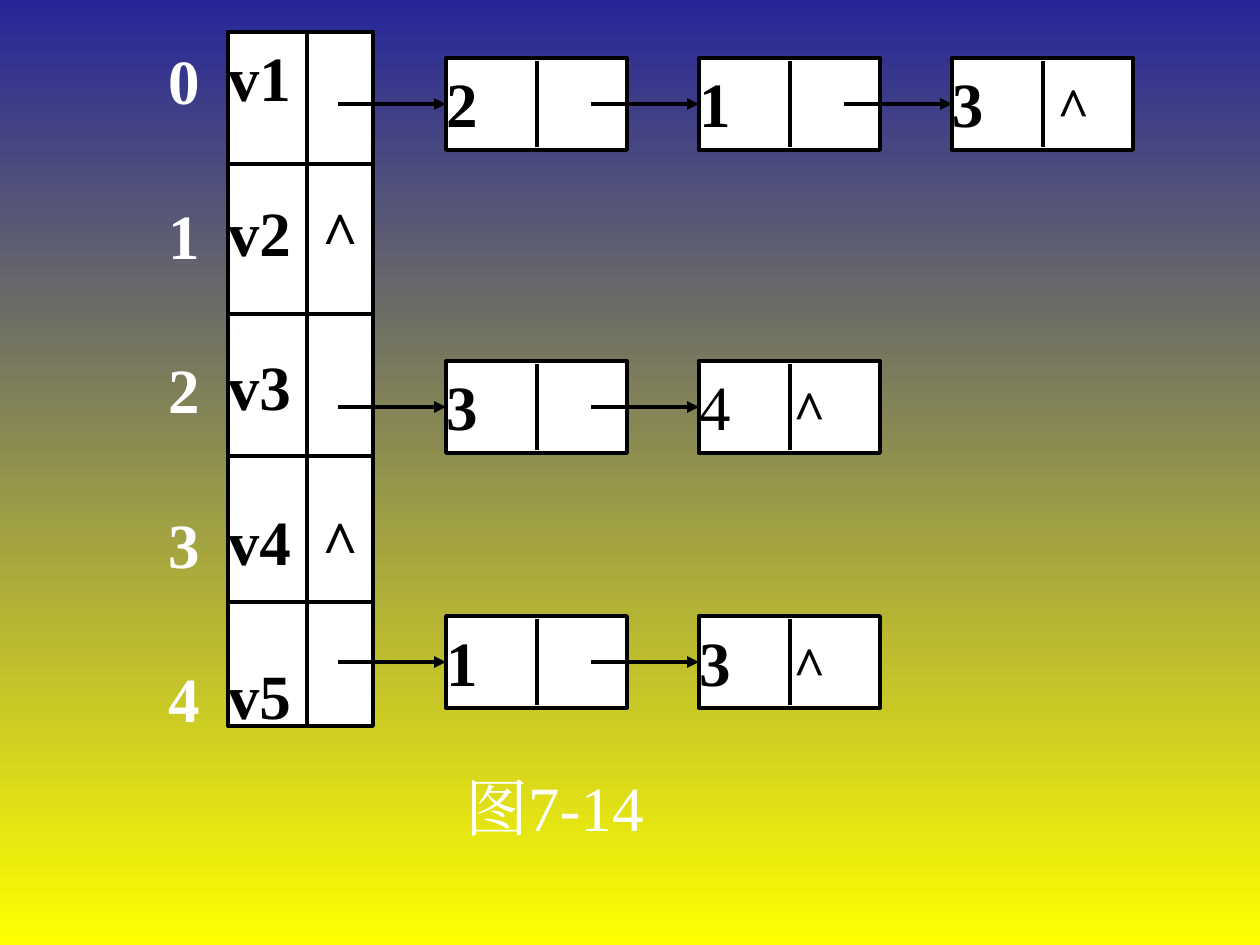
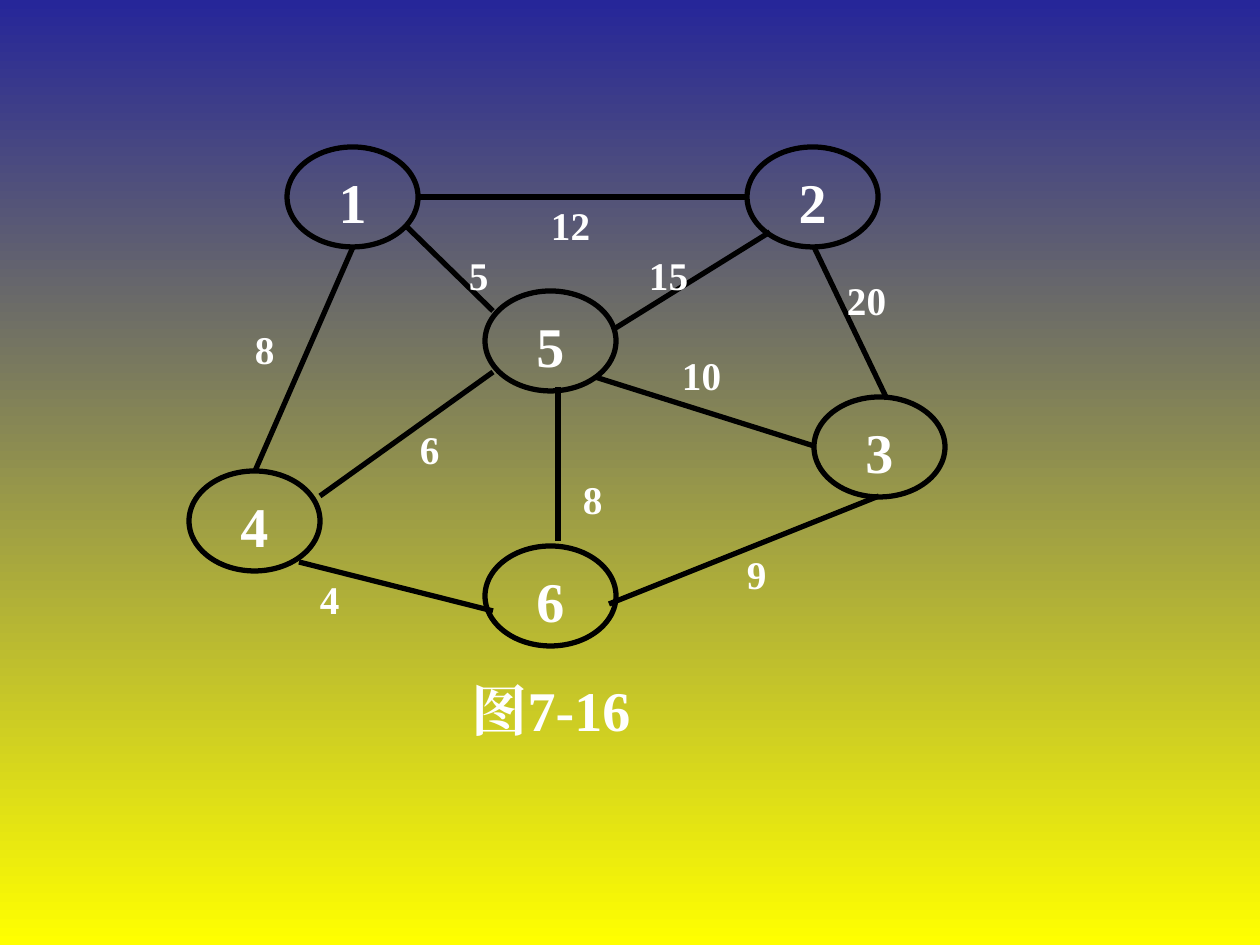
"""Draw an adjacency list (7-14) and a weighted graph (7-16) on two slides."""
from typing import NamedTuple

from lxml.etree import SubElement
from pptx import Presentation
from pptx.dml.color import RGBColor
from pptx.enum.shapes import MSO_CONNECTOR, MSO_SHAPE
from pptx.enum.text import MSO_ANCHOR, PP_ALIGN
from pptx.oxml.ns import qn
from pptx.util import Pt

EMU_PER_PX = 914400 / 126
NIGHT = RGBColor(0x26, 0x26, 0x99)
YELLOW = RGBColor(0xFF, 0xFF, 0x00)
BLACK = RGBColor(0x00, 0x00, 0x00)
WHITE = RGBColor(0xFF, 0xFF, 0xFF)
FONT = "Times New Roman"
TABLE_LINE, GRAPH_LINE = 2.25, 3
ROW_GAP = 45


class Rect(NamedTuple):
    """A place on the page in px."""
    left: int
    top: int
    width: int
    height: int


class Span(NamedTuple):
    """A run of text with its size in points and weight."""
    text: str
    size: float = 36
    bold: bool = True


class Style(NamedTuple):
    """How the paragraphs of one box look."""
    color: RGBColor = WHITE
    align: PP_ALIGN = PP_ALIGN.JUSTIFY
    gap: float = 0
    tab: int = 0


class ListNode(NamedTuple):
    """One linked node: its value, the tab of its null mark and its weight."""
    value: str
    null_tab: int = 0
    bold: bool = True


class Chain(NamedTuple):
    """A row of linked nodes."""
    top: int
    nodes: tuple[ListNode, ...]


class Vertex(NamedTuple):
    """A numbered graph vertex."""
    name: str
    left: int
    top: int


class Edge(NamedTuple):
    """A weighted edge and the place of its weight."""
    start: tuple[int, int]
    end: tuple[int, int]
    weight: str
    label: tuple[int, int]


LIST_BOX = Rect(228, 32, 145, 694)
INDEX_BOX = Rect(168, 35, 72, 694)
LIST_DIVIDER = 307
ROW_LINES = (164, 314, 456, 602)
LIST_ROWS = ("v1", "v2\t^", "v3", "v4\t^", "v5")
NULL_TAB = 94
NODE_WIDTH, NODE_HEIGHT, NODE_STEP, NODE_LEFT = 181, 92, 253, 446
ARROW_LENGTH = 108
CHAINS = (
    Chain(58, (ListNode("2"), ListNode("1"), ListNode("3", 105))),
    Chain(361, (ListNode("3"), ListNode("4", NULL_TAB, False))),
    Chain(616, (ListNode("1"), ListNode("3", NULL_TAB))),
)
VERTEX_WIDTH, VERTEX_HEIGHT = 131, 100
VERTICES = (
    Vertex("3", 814, 397),
    Vertex("1", 287, 147),
    Vertex("2", 747, 147),
    Vertex("5", 485, 291),
    Vertex("4", 189, 471),
    Vertex("6", 485, 546),
)
EDGES = (
    Edge((558, 387), (558, 541), "8", (583, 471)),
    Edge((879, 496), (609, 604), "9", (747, 546)),
    Edge((406, 226), (493, 311), "5", (469, 247)),
    Edge((420, 197), (747, 197), "12", (551, 197)),
    Edge((353, 247), (255, 471), "8", (255, 321)),
    Edge((814, 446), (595, 377), "10", (682, 347)),
    Edge((299, 562), (493, 611), "4", (320, 571)),
    Edge((770, 232), (614, 329), "15", (649, 247)),
    Edge((814, 247), (887, 399), "20", (847, 272)),
    Edge((493, 372), (320, 496), "6", (420, 421)),
)


def px(length: float) -> int:
    """Turn px into EMU."""
    return round(length * EMU_PER_PX)


def apply(target, values: dict) -> None:
    """Set several attributes on one object."""
    for name, value in values.items():
        setattr(target, name, value)


def add_page(deck):
    """Add a blank page with the shared gradient background."""
    page = deck.slides.add_slide(deck.slide_layouts[6])
    fill = page.background.fill
    fill.gradient()
    fill.gradient_angle = 270
    for stop, color in zip(fill.gradient_stops, (NIGHT, YELLOW)):
        stop.color.rgb = color
    return page


def write(box, rows: list[list[Span]], style: Style) -> None:
    """Fill a box with one paragraph for each row of spans."""
    frame = box.text_frame
    apply(frame, {
        "word_wrap": True, "vertical_anchor": MSO_ANCHOR.TOP,
        "margin_left": 0, "margin_right": 0, "margin_bottom": 0,
        "margin_top": px(round(rows[0][0].size * 0.2)),
    })
    for number, row in enumerate(rows):
        para = frame.add_paragraph() if number else frame.paragraphs[0]
        if style.tab:
            tabs = SubElement(para._p.get_or_add_pPr(), qn("a:tabLst"))
            SubElement(tabs, qn("a:tab"), pos=str(px(style.tab)), algn="l")
        para.alignment = style.align
        if number and style.gap:
            para.space_before = Pt(style.gap)
        for item in row:
            span = para.add_run()
            span.text = item.text
            apply(span.font, {"name": FONT, "size": Pt(item.size), "bold": item.bold})
            span.font.color.rgb = style.color
            SubElement(span._r.get_or_add_rPr(), qn("a:ea"), typeface=FONT)


def add_text(page, place: Rect, rows: list[list[Span]], style: Style) -> None:
    """Add a plain text box."""
    write(page.shapes.add_textbox(*map(px, place)), rows, style)


def add_box(page, kind: MSO_SHAPE, place: Rect, width: float, filled: bool):
    """Add a black outlined shape, white or hollow."""
    box = page.shapes.add_shape(kind, *map(px, place))
    box.shadow.inherit = False
    if filled:
        box.fill.solid()
        box.fill.fore_color.rgb = WHITE
    else:
        box.fill.background()
    box.line.color.rgb = BLACK
    box.line.width = Pt(width)
    return box


def add_line(page, start: tuple[int, int], end: tuple[int, int], width: float, arrow: bool = False):
    """Add a straight black line, with an arrowhead at its end if asked."""
    line = page.shapes.add_connector(MSO_CONNECTOR.STRAIGHT, *map(px, start + end))
    line.line.color.rgb = BLACK
    line.line.width = Pt(width)
    if arrow:
        SubElement(line.line._get_or_add_ln(), qn("a:tailEnd"), type="triangle")
    SubElement(line._element.spPr, qn("a:effectLst"))
    return line


def draw_node(page, node: ListNode, left: int, top: int) -> None:
    """Draw a linked node with its divider and incoming arrow."""
    box = add_box(page, MSO_SHAPE.RECTANGLE, Rect(left, top, NODE_WIDTH, NODE_HEIGHT), TABLE_LINE, True)
    row = [Span(node.value, 36, node.bold)]
    if node.null_tab:
        row.append(Span("\t^", 32))
    write(box, [row], Style(BLACK, tab=node.null_tab))
    center = left + NODE_WIDTH // 2 + 1
    add_line(page, (center, top + 3), (center, top + NODE_HEIGHT - 3), TABLE_LINE)
    middle = top + NODE_HEIGHT // 2
    arrow = add_line(page, (left - ARROW_LENGTH, middle), (left, middle), TABLE_LINE, True)
    arrow.end_connect(box, 1)


def draw_adjacency_list(page) -> None:
    """Draw the head array, its chains, indices and caption."""
    head = add_box(page, MSO_SHAPE.RECTANGLE, LIST_BOX, TABLE_LINE, True)
    write(head, [[Span(text)] for text in LIST_ROWS], Style(BLACK, gap=ROW_GAP, tab=NULL_TAB))
    right, bottom = LIST_BOX.left + LIST_BOX.width, LIST_BOX.top + LIST_BOX.height
    add_line(page, (LIST_DIVIDER, LIST_BOX.top), (LIST_DIVIDER, bottom), TABLE_LINE)
    for height in ROW_LINES:
        add_line(page, (LIST_BOX.left, height), (right, height), TABLE_LINE)
    for chain in CHAINS:
        for column, node in enumerate(chain.nodes):
            draw_node(page, node, NODE_LEFT + column * NODE_STEP, chain.top)
    add_text(page, INDEX_BOX, [[Span(str(index))] for index in range(len(LIST_ROWS))], Style(gap=ROW_GAP))
    add_text(page, Rect(446, 762, 217, 110), [[Span("图7-14", 36, False)]], Style(align=PP_ALIGN.CENTER))


def draw_weighted_graph(page) -> None:
    """Draw the caption, vertices, edges and weights."""
    centered = Style(align=PP_ALIGN.CENTER)
    add_text(page, Rect(452, 670, 198, 74), [[Span("图7-16", 32)]], centered)
    for vertex in VERTICES:
        place = Rect(vertex.left, vertex.top, VERTEX_WIDTH, VERTEX_HEIGHT)
        write(add_box(page, MSO_SHAPE.OVAL, place, GRAPH_LINE, False), [[Span(vertex.name, 32)]], centered)
    for edge in EDGES:
        add_line(page, edge.start, edge.end, GRAPH_LINE)
    for edge in EDGES:
        add_text(page, Rect(*edge.label, 66, 50), [[Span(edge.weight, 22.4)]], Style())


def main() -> None:
    """Build and save the deck."""
    deck = Presentation()
    apply(deck, {"slide_width": px(1260), "slide_height": px(945)})
    draw_adjacency_list(add_page(deck))
    draw_weighted_graph(add_page(deck))
    deck.save("out.pptx")


if __name__ == "__main__":
    main()
